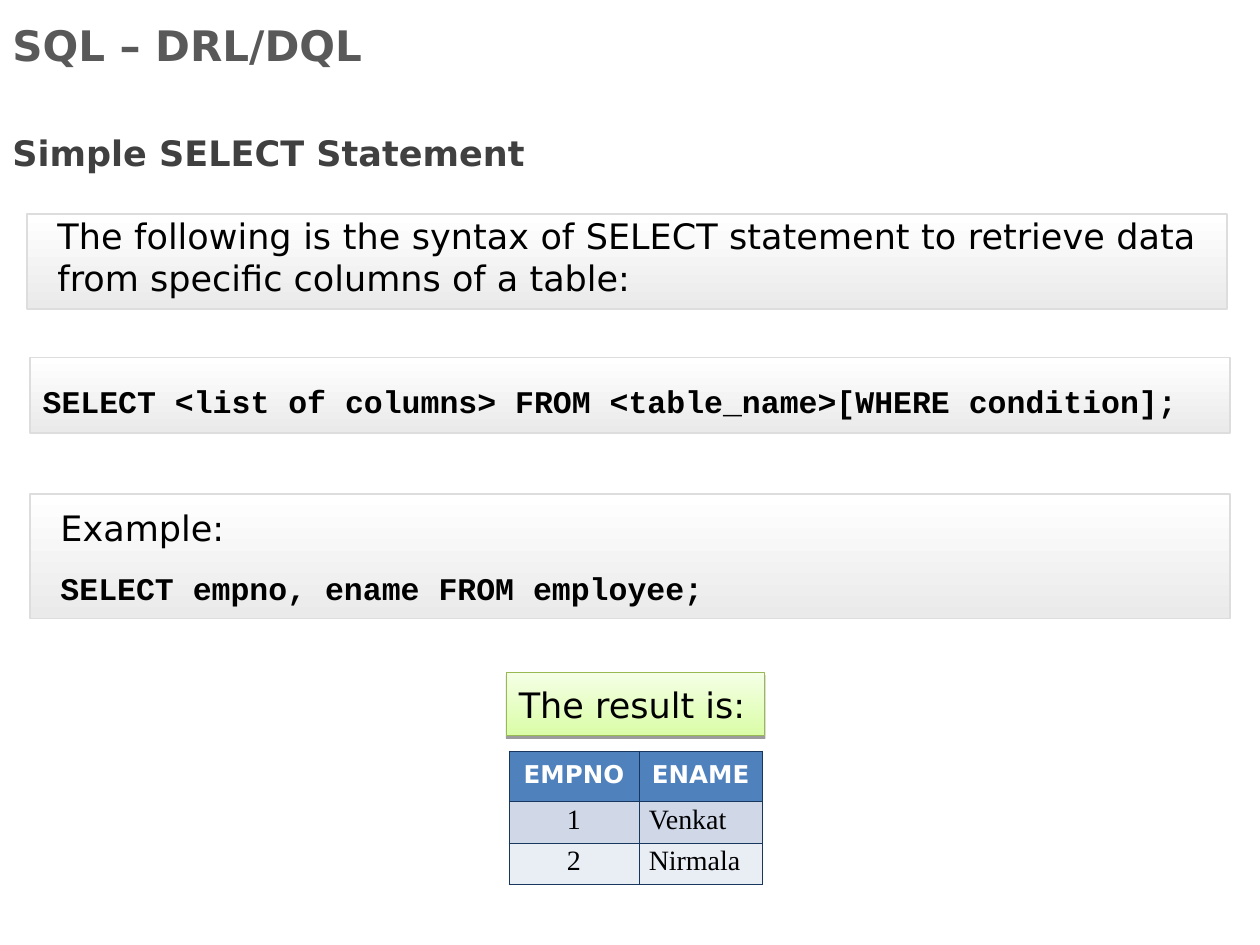
from lxml import etree
from pptx import Presentation
from pptx.dml.color import RGBColor
from pptx.enum import shapes, text
from pptx.oxml.ns import qn
from pptx.util import Cm, Pt

BLACK = RGBColor(0, 0, 0)
WHITE = RGBColor(255, 255, 255)
TITLE_GREY = RGBColor(0x59, 0x59, 0x59)
HEADING_GREY = RGBColor(0x40, 0x40, 0x40)
PANEL_GREY = RGBColor(0xEA, 0xEA, 0xEA)
PANEL_LINE = RGBColor(0xDD, 0xDD, 0xDD)
LIGHT_GREEN = RGBColor(0xF5, 0xFF, 0xE6)
GREEN = RGBColor(0xDA, 0xFD, 0xA7)
GREEN_LINE = RGBColor(0x98, 0xB9, 0x54)
HEADER_BLUE = RGBColor(0x4F, 0x81, 0xBD)
ROW_FILLS = [RGBColor(0xD0, 0xD8, 0xE8), RGBColor(0xE9, 0xED, 0xF4)]
BORDER_BLUE = RGBColor(0x17, 0x37, 0x5E)

SANS, MONO, SERIF = "DejaVu Sans", "Courier New", "Times New Roman"
LEFT, CENTER, JUSTIFY = (text.PP_ALIGN.LEFT, text.PP_ALIGN.CENTER,
                         text.PP_ALIGN.JUSTIFY)
TOP, MIDDLE = text.MSO_ANCHOR.TOP, text.MSO_ANCHOR.MIDDLE


def write(p, words, font, size, color=BLACK, bold=False, align=LEFT):
    p.text = words
    p.alignment = align
    p.font.name, p.font.size, p.font.bold = font, Pt(size), bold
    p.font.color.rgb = color


def add_heading(slide, box, words, size, color, anchor=TOP, spacing=1):
    tf = slide.shapes.add_textbox(*map(Cm, box)).text_frame
    tf.word_wrap = True
    tf.vertical_anchor = anchor
    write(tf.paragraphs[0], words, SANS, size, color, bold=True)
    tf.paragraphs[0].line_spacing = spacing


def add_panel(slide, box, lines, anchor=TOP, align=LEFT, side=0.25, top=0,
              colors=(WHITE, PANEL_GREY), line=PANEL_LINE, line_width=1):
    """Add a box shaded from top to bottom; lines are (words, font, size, bold)."""
    sp = slide.shapes.add_shape(shapes.MSO_SHAPE.RECTANGLE, *map(Cm, box))
    sp.shadow.inherit = False
    sp.fill.gradient()
    sp.fill.gradient_angle = 270
    for stop, color in zip(sp.fill.gradient_stops, colors):
        stop.color.rgb = color
    sp.line.color.rgb = line
    sp.line.width = Pt(line_width)
    tf = sp.text_frame
    tf.word_wrap = True
    tf.vertical_anchor = anchor
    tf.margin_left = tf.margin_right = Cm(side)
    tf.margin_top, tf.margin_bottom = Cm(top), 0
    for i, (words, font, size, bold) in enumerate(lines):
        p = tf.add_paragraph() if i else tf.paragraphs[0]
        write(p, words, font, size, bold=bold, align=align)
        p.space_after = Pt(12 if len(lines) > 1 else 6)
    return sp


def add_drop_shadow(sp):
    effects = sp._element.spPr.find(qn("a:effectLst"))
    shadow = etree.SubElement(effects, qn("a:outerShdw"), blurRad="0",
                              dist=str(Pt(1.6)), dir="5400000", rotWithShape="0")
    color = etree.SubElement(shadow, qn("a:srgbClr"), val=str(BLACK))
    etree.SubElement(color, qn("a:alpha"), val="38000")


def add_borders(cell):
    tc_pr = cell._tc.get_or_add_tcPr()
    for side in ("lnL", "lnR", "lnT", "lnB"):
        ln = etree.SubElement(tc_pr, qn(f"a:{side}"), w=str(Pt(0.45)))
        fill = etree.SubElement(ln, qn("a:solidFill"))
        etree.SubElement(fill, qn("a:srgbClr"), val=str(BORDER_BLUE))


def add_result_table(slide, box, widths, heights, rows):
    table = slide.shapes.add_table(len(rows), len(widths), *map(Cm, box)).table
    for column, width in zip(table.columns, widths):
        column.width = Cm(width)
    for row, height in zip(table.rows, heights):
        row.height = Cm(height)
    for i, values in enumerate(rows):
        for j, value in enumerate(values):
            cell = table.cell(i, j)
            p = cell.text_frame.paragraphs[0]
            add_borders(cell)
            cell.fill.solid()
            if i == 0:
                cell.fill.fore_color.rgb = HEADER_BLUE
                cell.vertical_anchor = MIDDLE
                write(p, value, SANS, 14, WHITE, True, CENTER)
            else:
                cell.fill.fore_color.rgb = ROW_FILLS[(i - 1) % 2]
                cell.margin_left = cell.margin_right = Cm(0.2)
                write(p, value, SERIF, 16, align=LEFT if j else CENTER)
            p.line_spacing = 0.86


def main():
    prs = Presentation()
    prs.slide_width, prs.slide_height = Cm(25.4), Cm(19.05)
    slide = prs.slides.add_slide(prs.slide_layouts[6])

    add_heading(slide, (0, 0.36, 22.86, 1.09), "SQL – DRL/DQL", 24,
                TITLE_GREY, anchor=MIDDLE)
    add_heading(slide, (0, 2.11, 18, 1.52), "Simple SELECT Statement", 20,
                HEADING_GREY, spacing=1.5)

    add_panel(slide, (0.55, 4.32, 24.18, 1.91),
              [("The following is the syntax of SELECT statement to retrieve "
                "data from specific columns of a table:", SANS, 20, False)],
              align=JUSTIFY, side=0.61)
    add_panel(slide, (0.61, 7.21, 24.18, 1.52),
              [("SELECT <list of columns> FROM <table_name>[WHERE condition];",
                MONO, 18, True)], anchor=MIDDLE, top=0.21)
    add_panel(slide, (0.61, 9.96, 24.18, 2.51),
              [("Example:", SANS, 20, False),
               ("SELECT empno, ename FROM employee;", MONO, 18, True)],
              align=JUSTIFY, side=0.61, top=0.25)
    result = add_panel(slide, (10.21, 13.56, 5.21, 1.27),
                       [("The result is:", SANS, 20, False)], anchor=MIDDLE,
                       colors=(LIGHT_GREEN, GREEN), line=GREEN_LINE,
                       line_width=0.75)
    add_drop_shadow(result)

    add_result_table(slide, (10.26, 15.14, 5.11, 2.5), (2.62, 2.49),
                     (1.02, 0.74, 0.74),
                     [("EMPNO", "ENAME"), ("1", "Venkat"), ("2", "Nirmala")])
    prs.save("out.pptx")


if __name__ == "__main__":
    main()
